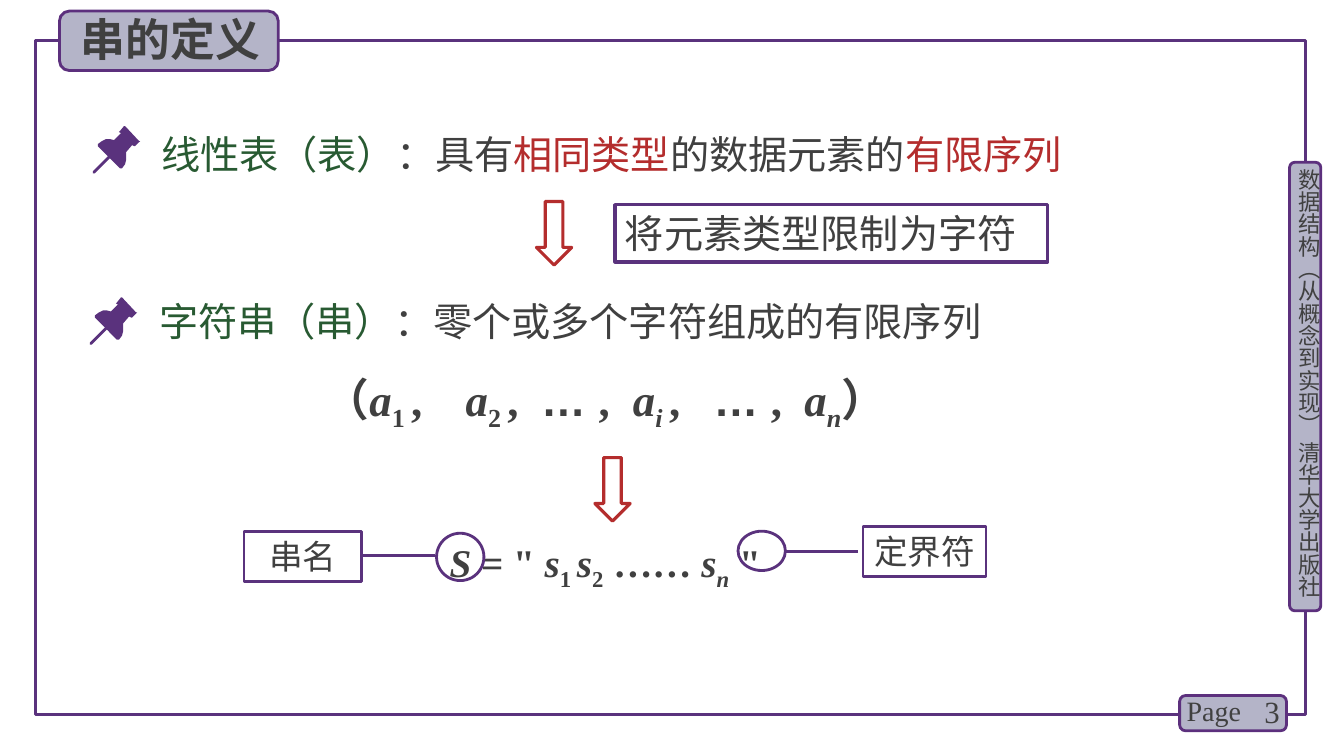
import pptx
import pptx.util
import pptx.dml.color
import pptx.enum.shapes
import pptx.enum.text
import pptx.oxml.ns
import lxml.etree

Inches, Pt = pptx.util.Inches, pptx.util.Pt
MSO = pptx.enum.shapes.MSO_SHAPE
ALIGN = pptx.enum.text.PP_ALIGN
ANCHOR = pptx.enum.text.MSO_ANCHOR
qn = pptx.oxml.ns.qn

# Colours and fonts
PURPLE, EDGE, CHIP = "5A327D", "5C307D", "B4B4C8"
GREY, RED, GREEN = "404040", "B42D2D", "285A32"
HAN, SERIF, SANS = "Noto Sans CJK SC", "Times New Roman", "Arial"

# Content: runs are (text, options)
TITLE = [("串的定义", {"bold": True})]
SIDE = [("数据结构（从概念到实现） 清华大学出版社", {})]
LIST_DEF = [("线性表（表）", {"color": GREEN}), ("：具有", {}),
            ("相同类型", {"color": RED}), ("的数据元素的", {}),
            ("有限序列", {"color": RED})]
STRING_DEF = [("字符串（串）", {"color": GREEN, "font": HAN}),
              ("：零个或多个字符组成的有限序列", {})]

BOLD = {"bold": True}
VAR = {"bold": True, "italic": True}
SUB = {"bold": True, "sub": True}
VAR_SUB = {"bold": True, "italic": True, "sub": True}
DOTS = {"bold": True, "font": SANS}
SEQUENCE = [("（", BOLD), ("a", VAR), ("1 ", SUB), (",\t", BOLD),
            ("a", VAR), ("2 ", SUB), (",\t", BOLD), ("… ", DOTS), (",\t", BOLD),
            ("a", VAR), ("i ", VAR_SUB), (",\t", BOLD), ("… ", DOTS), (",\t", BOLD),
            ("a", VAR), ("n", VAR_SUB), ("）", BOLD)]
SEQUENCE_TABS = [1.4, 2.15, 3.06, 3.86, 4.76]
STRING = [("S ", VAR), ("= \" ", BOLD), ("s", VAR), ("1 ", SUB),
          ("s", VAR), ("2", SUB), (" …… ", BOLD), ("s", VAR),
          ("n", VAR_SUB), (" \"", BOLD)]

# Push pin outline, in hundredths of an inch
PIN_PARTS = [
    [(46, 15), (32, 0), (31, 0), (27, 5), (26, 6), (28, 7), (21, 14), (17, 13),
     (13, 13), (9, 15), (5, 18), (5, 20), (27, 42), (29, 42), (32, 38), (33, 34),
     (33, 26), (39, 19), (41, 20), (42, 20), (46, 16), (47, 15)],
    [(1, 47), (0, 47), (0, 45), (16, 29), (18, 29), (18, 31), (2, 47)],
]
PINS = [(0.92, 1.25), (0.89, 2.95)]

CHIPS = [(12.79, 1.61, 0.31, 4.45), (11.7, 6.9, 1.06, 0.35), (0.59, 0.11, 2.17, 0.59)]
ARROWS = [(5.32, 2.0), (5.9, 4.54)]
RINGS = [(4.33, 5.29, 0.47, 0.47), (7.32, 5.27, 0.47, 0.39)]
LEADERS = [(3.6, 4.31, 5.51), (7.8, 8.51, 5.47)]
LABELS = [("串名", (2.42, 5.27, 1.17, 0.5)), ("定界符", (8.56, 5.22, 1.22, 0.5))]

prs = pptx.Presentation()
prs.slide_width, prs.slide_height = Inches(13.33), Inches(7.5)
s = prs.slides.add_slide(prs.slide_layouts[5])


def rgb(value):
    return pptx.dml.color.RGBColor.from_string(value)


def box(at):
    return [Inches(v) for v in at]


def shape(kind, at, line, weight, fill=None):
    sp = s.shapes.add_shape(kind, *box(at))
    sp.shadow.inherit = False
    if fill:
        sp.fill.solid()
        sp.fill.fore_color.rgb = rgb(fill)
    else:
        sp.fill.background()
    sp.line.color.rgb = rgb(line)
    sp.line.width = Pt(weight)
    return sp


def write(sp, runs, size, font=SERIF, align=ALIGN.LEFT, anchor=ANCHOR.TOP, tabs=()):
    tf = sp.text_frame
    tf.word_wrap = True
    tf.auto_size = pptx.enum.text.MSO_AUTO_SIZE.NONE
    tf.vertical_anchor = anchor
    p = tf.paragraphs[0]
    p.alignment = align
    if tabs:
        stops = lxml.etree.SubElement(p._p.get_or_add_pPr(), qn("a:tabLst"))
        for pos in tabs:
            lxml.etree.SubElement(stops, qn("a:tab"), pos=str(Inches(pos)), algn="l")
    for text, opts in runs:
        r = p.add_run()
        r.text = text
        r.font.size = Pt(size)
        r.font.bold = opts.get("bold", False)
        r.font.italic = opts.get("italic", False)
        r.font.color.rgb = rgb(opts.get("color", GREY))
        r.font.name = opts.get("font", font)
        rPr = r._r.get_or_add_rPr()
        if any("\u4e00" <= c <= "\u9fff" or c in "（）" for c in text):
            lxml.etree.SubElement(rPr, qn("a:ea"), typeface=HAN)
        if opts.get("sub"):
            rPr.set("baseline", "-25000")
    return p


def text_box(at, runs, size, **style):
    sp = s.shapes.add_textbox(*box(at))
    return sp, write(sp, runs, size, **style)


# Frame and chips
shape(MSO.RECTANGLE, (0.35, 0.4, 12.6, 6.69), PURPLE, 2.25)
for at in CHIPS:
    shape(MSO.ROUNDED_RECTANGLE, at, EDGE, 2, CHIP)

# Title, placed above its chip
title = s.shapes.title
title.left, title.top, title.width, title.height = box((0.7, 0.07, 2.09, 0.64))
write(title, TITLE, 32, font=HAN)
s.shapes._spTree.append(title._element)

# Vertical side text and page number
side, p = text_box((12.85, 1.67, 0.27, 4.49), SIDE, 16, font=HAN)
tf = side.text_frame
tf.margin_left = tf.margin_right = tf.margin_top = tf.margin_bottom = 0
tf._txBody.bodyPr.set("vert", "eaVert")
text_box((12.2, 6.86, 0.59, 0.4), [("3", {})], 22, align=ALIGN.RIGHT, anchor=ANCHOR.MIDDLE)
text_box((11.67, 6.83, 0.78, 0.44), [("Page", {})], 20)

# Definitions with their pins
text_box((1.5, 1.24, 9.53, 0.57), LIST_DEF, 28)
text_box((1.48, 2.9, 9.53, 0.57), STRING_DEF, 28)
for left, top in PINS:
    for part in PIN_PARTS:
        points = [(Inches(left + x / 100), Inches(top + y / 100)) for x, y in part]
        builder = s.shapes.build_freeform(*points[0])
        builder.add_line_segments(points[1:], close=True)
        pin = builder.convert_to_shape()
        pin.shadow.inherit = False
        pin.fill.solid()
        pin.fill.fore_color.rgb = rgb(PURPLE)
        pin.line.fill.background()

# Down arrows and the restriction note
for left, top in ARROWS:
    shape(MSO.DOWN_ARROW, (left, top, 0.35, 0.63), RED, 2.25)
note = shape(MSO.RECTANGLE, (6.1, 2.03, 4.29, 0.57), PURPLE, 2.25)
write(note, [("将元素类型限制为字符", {})], 28)

# Formulas
text_box((3.12, 3.64, 6.77, 0.64), SEQUENCE, 32, tabs=SEQUENCE_TABS)
sp, p = text_box((4.36, 5.24, 4.29, 0.58), STRING, 28)
p.line_spacing = 1.1

# Labels, leaders and rings around the string parts
for at in RINGS:
    shape(MSO.OVAL, at, PURPLE, 2)
for x1, x2, y in LEADERS:
    line = s.shapes.add_connector(pptx.enum.shapes.MSO_CONNECTOR.STRAIGHT, *box((x1, y, x2, y)))
    line.line.color.rgb = rgb(PURPLE)
    line.line.width = Pt(2)
    lxml.etree.SubElement(line._element.spPr, qn("a:effectLst"))
for text, at in LABELS:
    label = shape(MSO.RECTANGLE, at, PURPLE, 2)
    write(label, [(text, {})], 24, font=HAN, align=ALIGN.CENTER, anchor=ANCHOR.MIDDLE)

prs.save("out.pptx")
